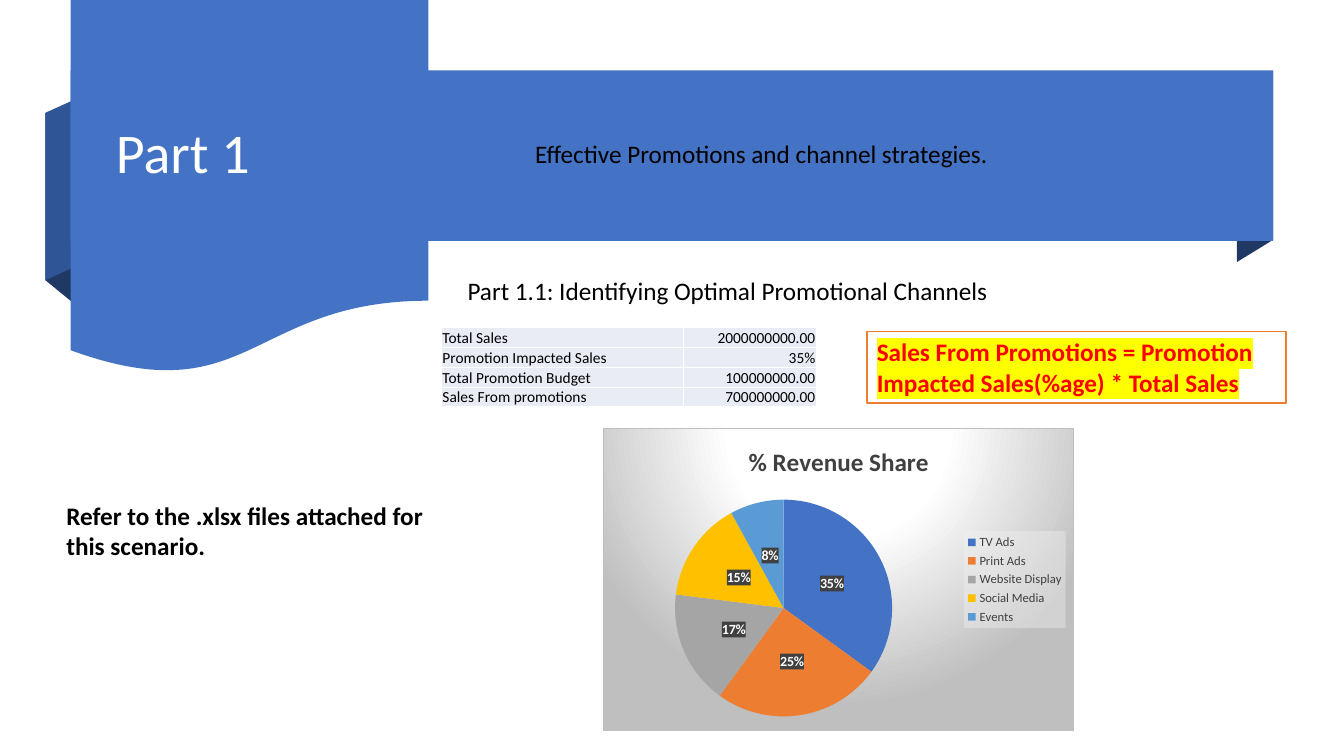
from dataclasses import dataclass
from typing import Optional

from lxml.etree import SubElement, fromstring
from pptx import Presentation
from pptx.chart.data import CategoryChartData
from pptx.dml.color import RGBColor
from pptx.enum.chart import XL_CHART_TYPE, XL_LABEL_POSITION, XL_LEGEND_POSITION
from pptx.enum.shapes import MSO_SHAPE
from pptx.enum.text import MSO_ANCHOR, MSO_AUTO_SIZE, PP_ALIGN
from pptx.oxml.ns import nsdecls, qn
from pptx.util import Emu, Inches, Pt


@dataclass(frozen=True)
class Theme:
    font: str = "Calibri"
    blue: str = "4472C4"
    mid_blue: str = "2F5597"
    navy: str = "203864"
    orange: str = "ED7D31"
    white: str = "FFFFFF"
    black: str = "000000"
    red: str = "FF0000"
    yellow: str = "FFFF00"
    charcoal: str = "404040"
    silver: str = "BFBFBF"
    mist: str = "F2F2F2"
    cell: str = "E9EBF5"
    slices: tuple = ("4472C4", "ED7D31", "A5A5A5", "FFC000", "5B9BD5")
    title_size: float = 40
    body_size: float = 18
    table_size: float = 11
    label_size: float = 10
    legend_size: float = 9


@dataclass(frozen=True)
class Area:
    """Shares of the slide's width and height, in percent."""
    left: float
    top: float
    width: float
    height: float

    def place(self) -> tuple:
        return across(self.left), down(self.top), across(self.width), down(self.height)


@dataclass(frozen=True)
class Fold:
    points: tuple
    color: str


@dataclass(frozen=True)
class Panel:
    kind: MSO_SHAPE
    area: Area
    fill: str
    line: Optional[str] = None


@dataclass(frozen=True)
class Caption:
    text: str
    area: Area
    bold: bool = False


THEME = Theme()
WIDTH, HEIGHT = Inches(13.33), Inches(7.5)

FOLDS = (
    Fold(((9.15, 45.47), (3.38, 37.07), (3.38, 14.93), (9.15, 23.33)), THEME.navy),
    Fold(((6.68, 34.4), (3.38, 37.07), (3.38, 14.93), (6.68, 12.27)), THEME.mid_blue),
    Fold(((6.68, 34.27), (5.33, 31.87), (5.33, 9.33), (6.68, 11.87)), THEME.navy),
    Fold(((94.73, 31.73), (92.03, 34.67), (92.03, 12.13), (94.73, 9.33)), THEME.navy),
)
BANNER = (
    Panel(MSO_SHAPE.RECTANGLE, Area(5.25, 9.33, 89.48, 22.53), THEME.blue),
    Panel(MSO_SHAPE.FLOWCHART_DOCUMENT, Area(5.25, 0, 26.63, 49.6), THEME.blue),
)
FORMULA = Panel(MSO_SHAPE.RECTANGLE, Area(64.5, 43.87, 31.2, 9.47), THEME.white, THEME.orange)
CAPTIONS = (
    Caption("Effective Promotions and channel strategies.", Area(39.08, 17.6, 52.4, 5.33)),
    Caption("Part 1.1: Identifying Optimal Promotional Channels", Area(34.05, 35.73, 56.7, 5.33)),
    Caption("Refer to the .xlsx files attached for this scenario.", Area(4.2, 65.47, 30.68, 9.47), True),
)
SALES = (
    ("Total Sales", "2000000000.00"),
    ("Promotion Impacted Sales", "35%"),
    ("Total Promotion Budget", "100000000.00"),
    ("Sales From promotions", "700000000.00"),
)
REVENUE = {"TV Ads": 35, "Print Ads": 25, "Website Display": 17, "Social Media": 15, "Events": 8}


def across(share: float) -> Emu:
    return Emu(round(WIDTH * share / 100))


def down(share: float) -> Emu:
    return Emu(round(HEIGHT * share / 100))


def style_font(font, size: float, color: str, bold: bool = False) -> None:
    font.name, font.size, font.bold = THEME.font, Pt(size), bold
    font.color.rgb = RGBColor.from_string(color)


def paint(shape, fill: str, line: Optional[str] = None) -> None:
    shape.shadow.inherit = False
    shape.fill.solid()
    shape.fill.fore_color.rgb = RGBColor.from_string(fill)
    if line:
        shape.line.color.rgb = RGBColor.from_string(line)
        shape.line.width = Pt(1)
    else:
        shape.line.fill.background()


def draw_fold(page, fold: Fold) -> None:
    start, *rest = [(across(x), down(y)) for x, y in fold.points]
    builder = page.shapes.build_freeform(*start)
    builder.add_line_segments(rest, close=True)
    paint(builder.convert_to_shape(), fold.color)


def draw_panel(page, panel: Panel):
    shape = page.shapes.add_shape(panel.kind, *panel.area.place())
    paint(shape, panel.fill, panel.line)
    return shape


def write(shape, text: str, color: str, bold: bool):
    frame = shape.text_frame
    frame.word_wrap = True
    frame.auto_size = MSO_AUTO_SIZE.SHAPE_TO_FIT_TEXT
    frame.vertical_anchor = MSO_ANCHOR.TOP
    para = frame.paragraphs[0]
    para.alignment = PP_ALIGN.LEFT
    span = para.add_run()
    span.text = text
    style_font(para.font, THEME.body_size, color, bold)
    return span


def draw_title(page) -> None:
    title = page.shapes.title
    title.left, title.top, title.width, title.height = Area(7.88, 11.73, 84.23, 17.73).place()
    title.text_frame.text = "Part 1"
    title.text_frame.auto_size = MSO_AUTO_SIZE.NONE
    title.text_frame.vertical_anchor = MSO_ANCHOR.MIDDLE
    para = title.text_frame.paragraphs[0]
    para.alignment, para.line_spacing = PP_ALIGN.LEFT, 0.9
    style_font(para.font, THEME.title_size, THEME.white)
    tree = title.element.getparent()
    tree.append(title.element)


def draw_formula(page) -> None:
    box = draw_panel(page, FORMULA)
    span = write(box, "Sales From Promotions = Promotion Impacted Sales(%age) * Total Sales", THEME.red, True)
    highlight = SubElement(span.font._element, qn("a:highlight"))
    SubElement(highlight, qn("a:srgbClr"), val=THEME.yellow)


def draw_table(page) -> None:
    table = page.shapes.add_table(len(SALES), 2, *Area(32.85, 43.33, 27.9, 10.53).place()).table
    table.first_row = table.horz_banding = False
    for column, share in zip(table.columns, (18, 9.9)):
        column.width = across(share)
    for row, texts in zip(table.rows, SALES):
        row.height = down(2.63)
        for cell, text, side in zip(row.cells, texts, (PP_ALIGN.LEFT, PP_ALIGN.RIGHT)):
            cell.text = text
            cell.vertical_anchor = MSO_ANCHOR.BOTTOM
            cell.margin_left = cell.margin_top = cell.margin_right = Inches(0.01)
            cell.margin_bottom = 0
            para = cell.text_frame.paragraphs[0]
            para.alignment = side
            style_font(para.font, THEME.table_size, THEME.black)
            cell.fill.solid()
            cell.fill.fore_color.rgb = RGBColor.from_string(THEME.cell)


def chart_format(content: str):
    return fromstring(f'<c:spPr {nsdecls("c", "a")}>{content}</c:spPr>')


def draw_chart(page) -> None:
    data = CategoryChartData(number_format="0.00")
    data.categories = list(REVENUE)
    data.add_series("% Revenue Share", list(REVENUE.values()))
    place = Area(44.85, 56.67, 35.1, 40).place()
    chart = page.shapes.add_chart(XL_CHART_TYPE.PIE, *place, data).chart
    style_font(chart.font, THEME.label_size, THEME.black)
    chart.has_title = True
    chart.chart_title.include_in_layout = False
    chart.chart_title.text_frame.text = "% Revenue Share"
    style_font(chart.chart_title.text_frame.paragraphs[0].font, THEME.body_size, THEME.charcoal, True)

    chart.has_legend = True
    legend = chart.legend
    legend.position, legend.include_in_layout = XL_LEGEND_POSITION.RIGHT, False
    style_font(legend.font, THEME.legend_size, THEME.charcoal)
    legend._element.find(qn("c:txPr")).addprevious(chart_format(
        f'<a:solidFill><a:srgbClr val="{THEME.mist}"><a:alpha val="39000"/></a:srgbClr></a:solidFill>'))

    plot = chart.plots[0]
    plot.vary_by_categories = True
    for index, color in enumerate(THEME.slices):
        fill = plot.series[0].points[index].format.fill
        fill.solid()
        fill.fore_color.rgb = RGBColor.from_string(color)
    labels = plot.series[0].data_labels
    labels.show_percentage, labels.show_value = True, False
    labels.number_format, labels.number_format_is_linked = "0%", False
    labels.position = XL_LABEL_POSITION.CENTER
    style_font(labels.font, THEME.label_size, THEME.white, True)
    labels._element.find(qn("c:txPr")).addprevious(chart_format(
        f'<a:solidFill><a:srgbClr val="{THEME.charcoal}"/></a:solidFill>'))

    stops = "".join(f'<a:gs pos="{place}000"><a:srgbClr val="{color}"/></a:gs>' for place, color in
                    ((0, THEME.white), (39, THEME.white), (100, THEME.silver)))
    chart._chartSpace.find(qn("c:chart")).addnext(chart_format(
        f'<a:gradFill><a:gsLst>{stops}</a:gsLst><a:path path="circle">'
        '<a:fillToRect l="50000" t="-80000" r="50000" b="180000"/></a:path></a:gradFill>'
        f'<a:ln w="9525"><a:solidFill><a:srgbClr val="{THEME.silver}"/></a:solidFill></a:ln>'))


def main() -> None:
    deck = Presentation()
    deck.slide_width, deck.slide_height = WIDTH, HEIGHT
    page = deck.slides.add_slide(deck.slide_layouts[5])
    for fold in FOLDS:
        draw_fold(page, fold)
    for panel in BANNER:
        draw_panel(page, panel)
    draw_title(page)
    for caption in CAPTIONS:
        write(page.shapes.add_textbox(*caption.area.place()), caption.text, THEME.black, caption.bold)
    draw_chart(page)
    draw_table(page)
    draw_formula(page)
    deck.save("out.pptx")


if __name__ == "__main__":
    main()
